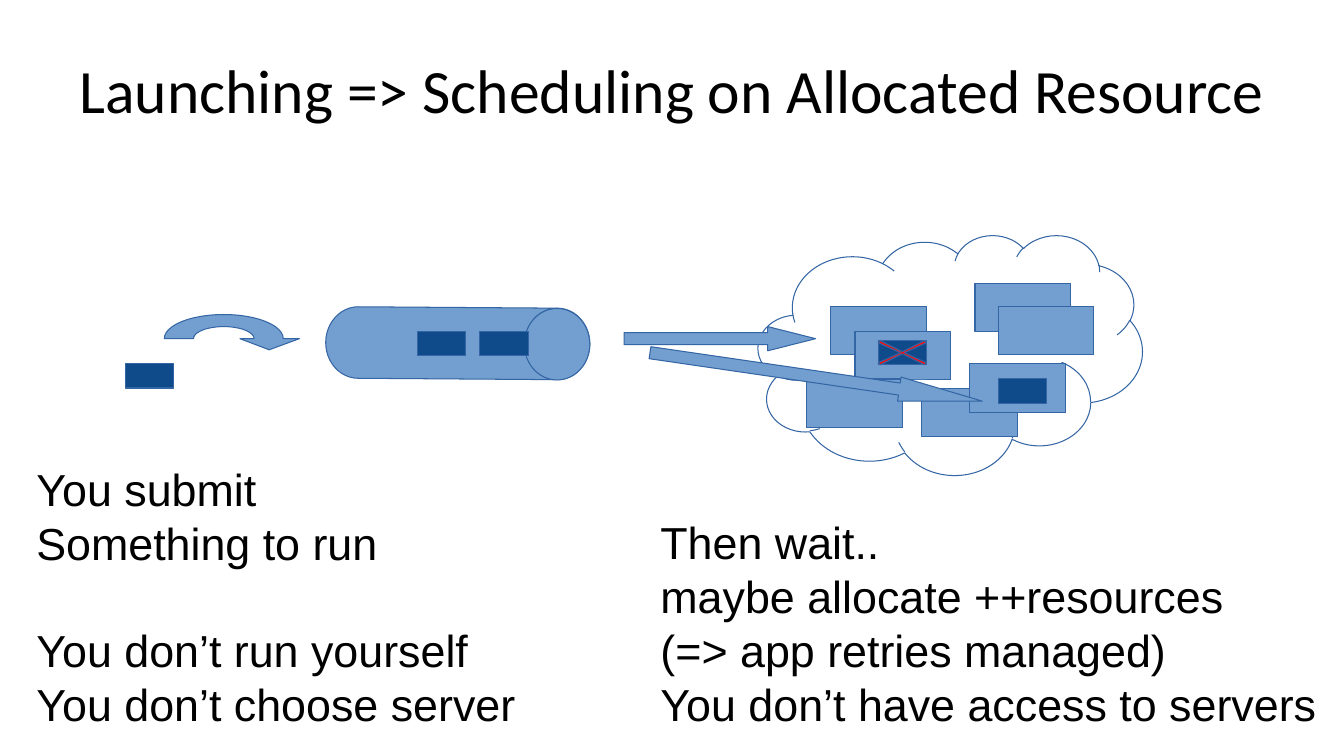
from math import cos, pi, sin

from pptx import Presentation
from pptx.dml.color import RGBColor
from pptx.enum.shapes import MSO_SHAPE
from pptx.enum.text import MSO_ANCHOR, PP_ALIGN
from pptx.util import Inches, Pt

COLORS = {"server": "729FCF", "job": "0F4B8B", "outline": "3465A4",
          "failure": "FF0A0A", "text": "000000"}
JOB_SIZE = (0.48, 0.24)
SERVER_SIZE = (0.95, 0.48)


def color(name):
    return RGBColor.from_string(COLORS[name])


def style(shape, fill):
    shape.shadow.inherit = False
    if fill:
        shape.fill.solid()
        shape.fill.fore_color.rgb = color(fill)
    else:
        shape.fill.background()
    shape.line.color.rgb = color("outline")
    shape.line.width = Pt(0)


def add_preset(slide, kind, box, fill=None, rotation=0, adjustments=()):
    shape = slide.shapes.add_shape(kind, *map(Inches, box))
    style(shape, fill)
    shape.rotation = rotation
    for index, value in enumerate(adjustments):
        shape.adjustments[index] = value


def add_outline(slide, points, fill):
    corners = [(Inches(x), Inches(y)) for x, y in points]
    builder = slide.shapes.build_freeform(*corners[0])
    builder.add_line_segments(corners[1:], close=True)
    style(builder.convert_to_shape(), fill)


def write(frame, lines, font, size, align=PP_ALIGN.LEFT, line_spacing=None, gap_before=None):
    """Put one paragraph per line; gap_before is the index of a line set one line lower."""
    for index, line in enumerate(lines):
        paragraph = frame.paragraphs[0] if index == 0 else frame.add_paragraph()
        paragraph.text = line
        paragraph.alignment = align
        paragraph.line_spacing = line_spacing
        if index == gap_before:
            paragraph.space_before = Pt(size * 1.2)
        paragraph.font.name = font
        paragraph.font.size = Pt(size)
        paragraph.font.color.rgb = color("text")


def add_title(slide, box, text):
    title = slide.shapes.title
    title.left, title.top, title.width, title.height = map(Inches, box)
    title.text_frame.vertical_anchor = MSO_ANCHOR.MIDDLE
    write(title.text_frame, [text], "Calibri", 44, PP_ALIGN.CENTER, line_spacing=0.9)


def add_caption(slide, box, lines, gap_before=None):
    frame = slide.shapes.add_textbox(*map(Inches, box)).text_frame
    frame.word_wrap = False
    frame.margin_left = frame.margin_right = Inches(0.12)
    frame.margin_top = frame.margin_bottom = Inches(0.06)
    write(frame, lines, "Arial", 32, gap_before=gap_before)


def add_job(slide, left, top):
    add_preset(slide, MSO_SHAPE.RECTANGLE, (left, top, *JOB_SIZE), "job")


def add_submission(slide, left, top):
    """A job and the curved arrow that sends it to the queue."""
    center_x, base = left + 0.98, top + 0.24

    def arc(radius_x, radius_y, steps=24):
        return [(center_x - radius_x * cos(pi * step / steps),
                 base - radius_y * sin(pi * step / steps)) for step in range(steps + 1)]

    head = [(center_x + 0.75, base), (center_x + 0.45, base + 0.11), (center_x + 0.16, base)]
    add_outline(slide, arc(0.59, 0.24) + head + arc(0.3, 0.12)[::-1], "server")
    add_job(slide, left, top + 0.49)


def add_queue(slide, left, top, length, thickness):
    """A lying cylinder, its lid in the colour of its side, holding two jobs."""
    box = (left + (length - thickness) / 2, top + (thickness - length) / 2, thickness, length)
    add_preset(slide, MSO_SHAPE.CAN, box, "server", 90.4, [0.91])
    lid_width = 0.65
    add_preset(slide, MSO_SHAPE.OVAL,
               (left + length - lid_width, top + 0.01, lid_width, thickness), "server")
    for offset in (0.91, 1.53):
        add_job(slide, left + offset, top + 0.24)


def add_failure_cross(slide, center_x, center_y):
    half = [(0, -0.01), (0.22, -0.12), (0.24, -0.1), (0.02, 0), (0.24, 0.1), (0.22, 0.12)]
    offsets = half + [(-x, -y) for x, y in half]
    add_outline(slide, [(center_x + x, center_y + y) for x, y in offsets], "failure")


def add_cluster(slide, left, top, width, height):
    """A cloud of servers, two of which hold a job, one of them failed."""
    add_preset(slide, MSO_SHAPE.CLOUD, (left, top, width, height))
    servers = [(2.15, 0.48), (0.72, 0.71), (0.96, 0.96), (0.48, 1.43),
               (1.62, 1.52), (2.1, 1.28), (2.38, 0.71)]
    for x, y in servers:
        add_preset(slide, MSO_SHAPE.RECTANGLE, (left + x, top + y, *SERVER_SIZE), "server")
    add_job(slide, left + 2.38, top + 1.43)
    add_job(slide, left + 1.19, top + 1.05)
    add_failure_cross(slide, left + 1.43, top + 1.17)


def add_dispatch_arrows(slide, left, top):
    arrows = [((left, top, 1.9, 0.24), 0, 1.98),
              ((left + 0.24, top + 0.38, 3.33, 0.24), 8.3, 3.46)]
    for box, rotation, head in arrows:
        add_preset(slide, MSO_SHAPE.RIGHT_ARROW, box, "server", rotation, [0.5, head])


def main():
    presentation = Presentation()
    presentation.slide_width, presentation.slide_height = Inches(13.33), Inches(7.5)
    slide = presentation.slides.add_slide(presentation.slide_layouts[5])
    add_title(slide, (0.67, 0.1, 12, 1.65), "Launching => Scheduling on Allocated Resource")
    add_submission(slide, 1.24, 3.12)
    add_caption(slide, (0.24, 4.52, 5.04, 2.7),
                ["You submit", "Something to run", "You don’t run yourself",
                 "You don’t choose server"], gap_before=2)
    add_queue(slide, 3.23, 3.05, 2.62, 0.71)
    add_cluster(slide, 7.52, 2.33, 3.81, 2.38)
    add_dispatch_arrows(slide, 6.19, 3.24)
    add_caption(slide, (6.43, 5.05, 6.81, 2.18),
                ["Then wait..", "maybe allocate ++resources", "(=> app retries managed)",
                 "You don’t have access to servers"])
    presentation.save("out.pptx")


if __name__ == "__main__":
    main()
